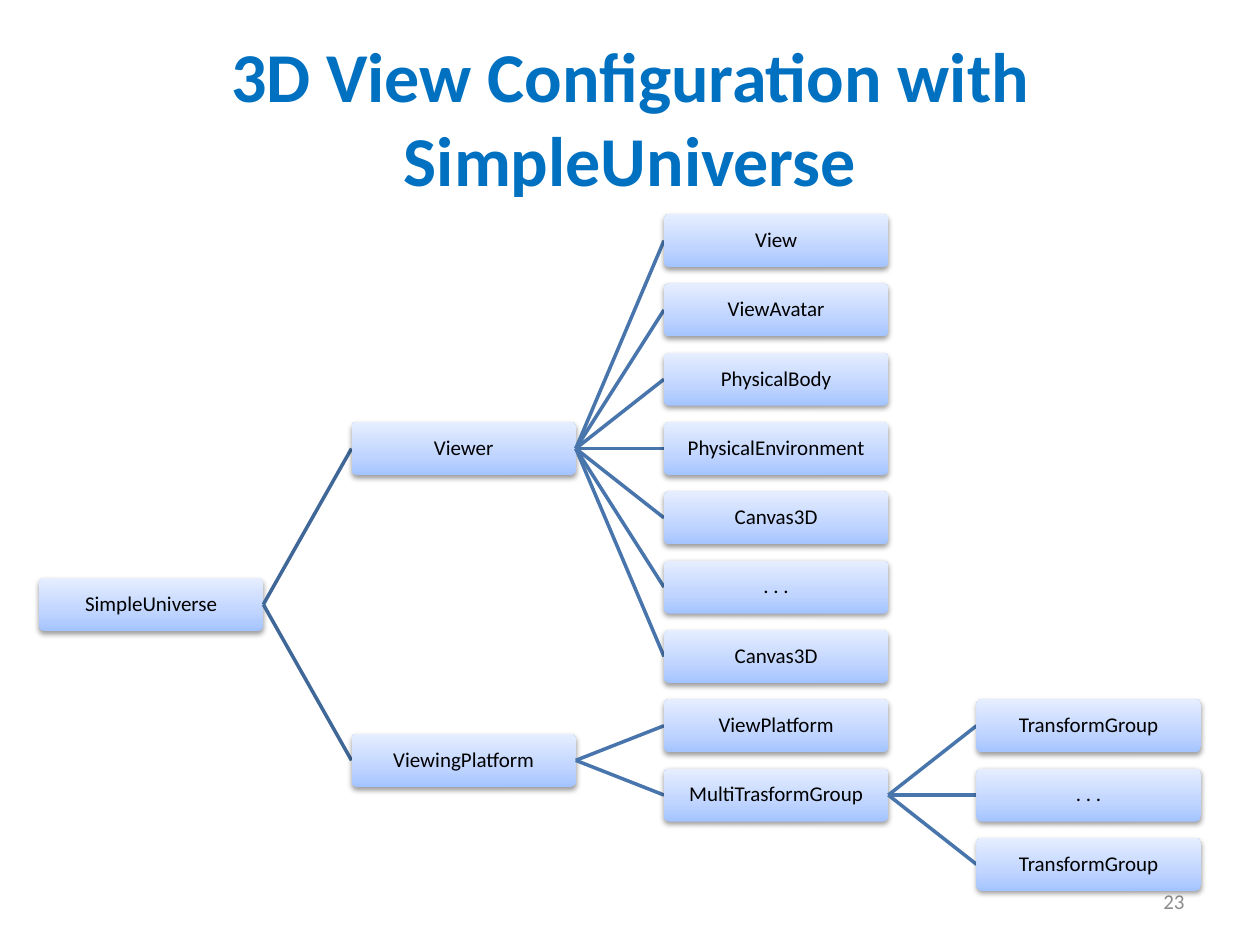
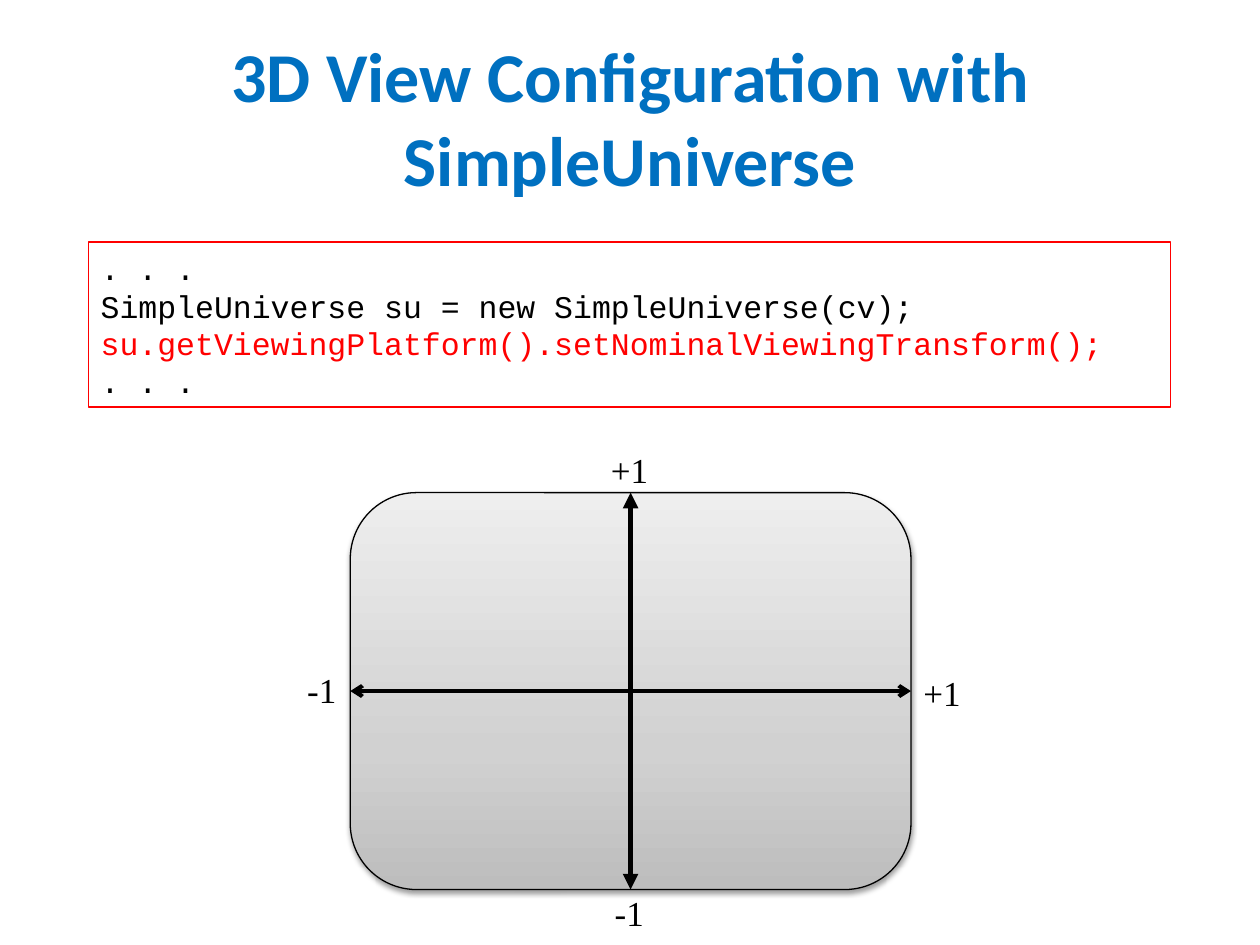
from lxml import etree
from pptx import Presentation
from pptx.dml.color import RGBColor
from pptx.enum.shapes import MSO_CONNECTOR, MSO_SHAPE
from pptx.enum.text import MSO_ANCHOR, MSO_AUTO_SIZE, PP_ALIGN
from pptx.oxml.ns import qn
from pptx.util import Inches, Pt

LEFT, MID, RIGHT = PP_ALIGN.LEFT, PP_ALIGN.CENTER, PP_ALIGN.RIGHT
TOP, MIDDLE = MSO_ANCHOR.TOP, MSO_ANCHOR.MIDDLE
FIT = MSO_AUTO_SIZE.SHAPE_TO_FIT_TEXT
ROUND, RECT = MSO_SHAPE.ROUNDED_RECTANGLE, MSO_SHAPE.RECTANGLE
STRAIGHT = MSO_CONNECTOR.STRAIGHT

COLORS = {"title": "0070C0", "ink": "000000", "page": "8C8C8C",
          "root": "3F6797", "link": "4875AC", "mark": "FF0000"}
BLUES = [(0, "A4C4FF"), (35, "BFD4FF"), (100, "E6EEFF")]
GREYS = [(0, "BDBDBD"), (35, "D1D1D1"), (100, "EEEEEE")]
SANS, MONO, SERIF = "Calibri", "Courier New", "Times New Roman"
TITLE = "3D View Configuration with SimpleUniverse"

# Each node: name, rows between its children, children
TREE = ("SimpleUniverse", 4.5, [
    ("Viewer", 1, [(name, 1, []) for name in (
        "View", "ViewAvatar", "PhysicalBody", "PhysicalEnvironment",
        "Canvas3D", ". . .", "Canvas3D")]),
    ("ViewingPlatform", 1, [
        ("ViewPlatform", 1, []),
        ("MultiTrasformGroup", 1, [(name, 1, []) for name in (
            "TransformGroup", ". . .", "TransformGroup")]),
    ]),
])
NODE_W, NODE_H = 1.78, 0.42
COL_STEP, ROW_STEP = 2.48, 0.55
TREE_X, TREE_Y, ROOT_ROW = 0.31, 1.7, 5.25

CODE = [(". . .", "ink"),
        ("SimpleUniverse su = new SimpleUniverse(cv);", "ink"),
        ("su.getViewingPlatform().setNominalViewingTransform();", "mark"),
        (". . .", "ink")]


def rgb(name):
    return RGBColor.from_string(COLORS[name])


def add_sub(parent, tag, **attrs):
    return etree.SubElement(parent, qn(tag), {k: str(v) for k, v in attrs.items()})


def write(frame, lines, font=SANS, size=12, bold=False, align=LEFT,
          anchor=MIDDLE, wrap=True, inset=None, spacing=None):
    """Fill a text frame with (text, colour name) lines."""
    frame.word_wrap, frame.vertical_anchor = wrap, anchor
    if inset is not None:
        frame.margin_left = frame.margin_right = Inches(inset)
        frame.margin_top = frame.margin_bottom = Inches(inset)
    for i, (text, color) in enumerate(lines):
        para = frame.add_paragraph() if i else frame.paragraphs[0]
        para.alignment = align
        if spacing:
            para.line_spacing = spacing
        run = para.add_run()
        run.text = text
        run.font.name, run.font.size, run.font.bold = font, Pt(size), bold
        run.font.color.rgb = rgb(color)


class Deck:
    def __init__(self):
        self.prs = Presentation()
        self.prs.slide_width, self.prs.slide_height = Inches(10), Inches(7.5)
        self.slide = None

    def page(self, title):
        self.slide = self.prs.slides.add_slide(self.prs.slide_layouts[6])
        self.label(title, 0.5, 0.3, 9, 1.25, "title", size=40, bold=True, align=MID)

    def label(self, text, x, y, w, h, color="ink", fit=False, **fmt):
        box = self.slide.shapes.add_textbox(*map(Inches, (x, y, w, h)))
        write(box.text_frame, [(text, color)], **fmt)
        if fit:
            box.text_frame.auto_size = FIT

    def box(self, kind, x, y, w, h, stops=None, line=None):
        """Add a shape; one with gradient stops also casts a soft shadow."""
        shape = self.slide.shapes.add_shape(kind, *map(Inches, (x, y, w, h)))
        shape.shadow.inherit = False
        if line:
            shape.line.color.rgb, shape.line.width = rgb(line), Pt(0.75)
        else:
            shape.line.fill.background()
        if stops:
            self.shade(shape, stops)
        else:
            shape.fill.background()
        return shape

    def shade(self, shape, stops):
        shape.fill.gradient()
        shape.fill.gradient_angle = 90
        props = shape.element.spPr
        grad = props.find(".//" + qn("a:gsLst"))
        for old in list(grad):
            grad.remove(old)
        for at, color in stops:
            stop = add_sub(grad, "a:gs", pos=at * 1000)
            add_sub(stop, "a:srgbClr", val=color)
        shadow = add_sub(props.find(qn("a:effectLst")), "a:outerShdw",
                         blurRad=Pt(3.1), dist=Pt(1.6), dir=90 * 60000, rotWithShape=0)
        tint = add_sub(shadow, "a:srgbClr", val=COLORS["ink"])
        add_sub(tint, "a:alpha", val=38000)

    def line(self, x1, y1, x2, y2, color, width, tip=None):
        link = self.slide.shapes.add_connector(STRAIGHT, *map(Inches, (x1, y1, x2, y2)))
        link.line.color.rgb, link.line.width = rgb(color), Pt(width)
        if tip:
            for end in ("a:headEnd", "a:tailEnd"):
                add_sub(link.line._get_or_add_ln(), end, type=tip)
        add_sub(link.element.spPr, "a:effectLst")

    def node(self, item, row, depth=0):
        """Draw a tree node with its children centred on its row."""
        name, gap, kids = item
        x, y = TREE_X + depth * COL_STEP, TREE_Y + row * ROW_STEP
        shape = self.box(ROUND, x, y, NODE_W, NODE_H, BLUES)
        shape.adjustments[0] = 0.1
        write(shape.text_frame, [(name, "ink")], align=MID, inset=0.02, spacing=0.9)
        mid = y + NODE_H / 2
        for i, kid in enumerate(kids):
            shift = (i - (len(kids) - 1) / 2) * gap
            self.line(x + NODE_W, mid, x + COL_STEP, mid + shift * ROW_STEP,
                      "link" if depth else "root", 2)
            self.node(kid, row + shift, depth + 1)


def draw_tree(deck):
    deck.page(TITLE)
    deck.label("23", 7.17, 6.95, 2.33, 0.4, "page", align=RIGHT)
    deck.node(TREE, ROOT_ROW)


def draw_axes(deck):
    deck.page(TITLE)
    code = deck.box(RECT, 0.7, 1.92, 8.59, 1.31, line="mark")
    write(code.text_frame, CODE, font=MONO, size=18)
    x, y, w, h = 2.78, 3.91, 4.45, 3.15
    deck.box(ROUND, x, y, w, h, GREYS, "ink")
    mid_x, mid_y = x + w / 2, y + h / 2
    deck.line(x, mid_y, x + w, mid_y, "ink", 2.25, "arrow")
    deck.line(mid_x, y, mid_x, y + h, "ink", 3, "triangle")
    for text, left, top, wide in (("-1", 2.34, 5.26, 0.44), ("+1", 7.23, 5.28, 0.5),
                                  ("-1", 4.78, 7.03, 0.44), ("+1", 4.75, 3.51, 0.5)):
        deck.label(text, left, top, wide, 0.44, font=SERIF, size=20,
                   anchor=TOP, wrap=False, fit=True)


def main():
    deck = Deck()
    draw_tree(deck)
    draw_axes(deck)
    deck.prs.save("out.pptx")


if __name__ == "__main__":
    main()
